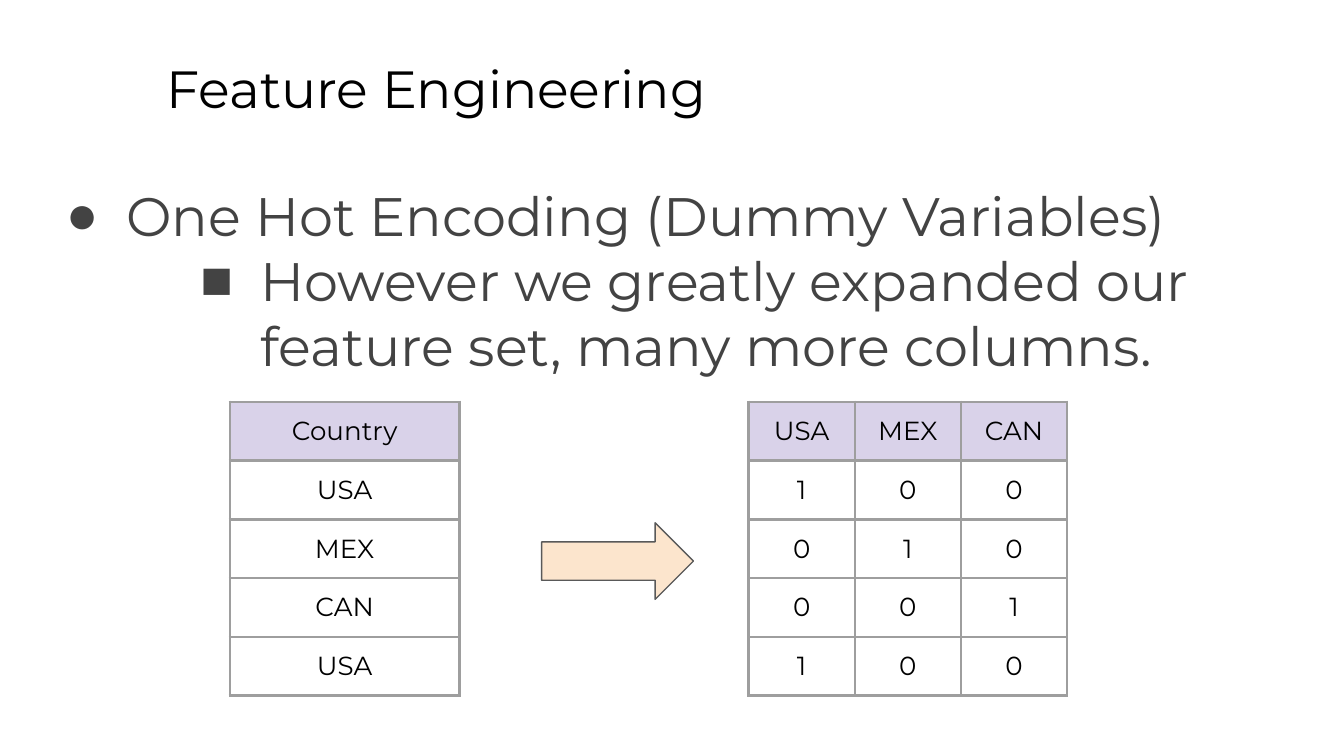
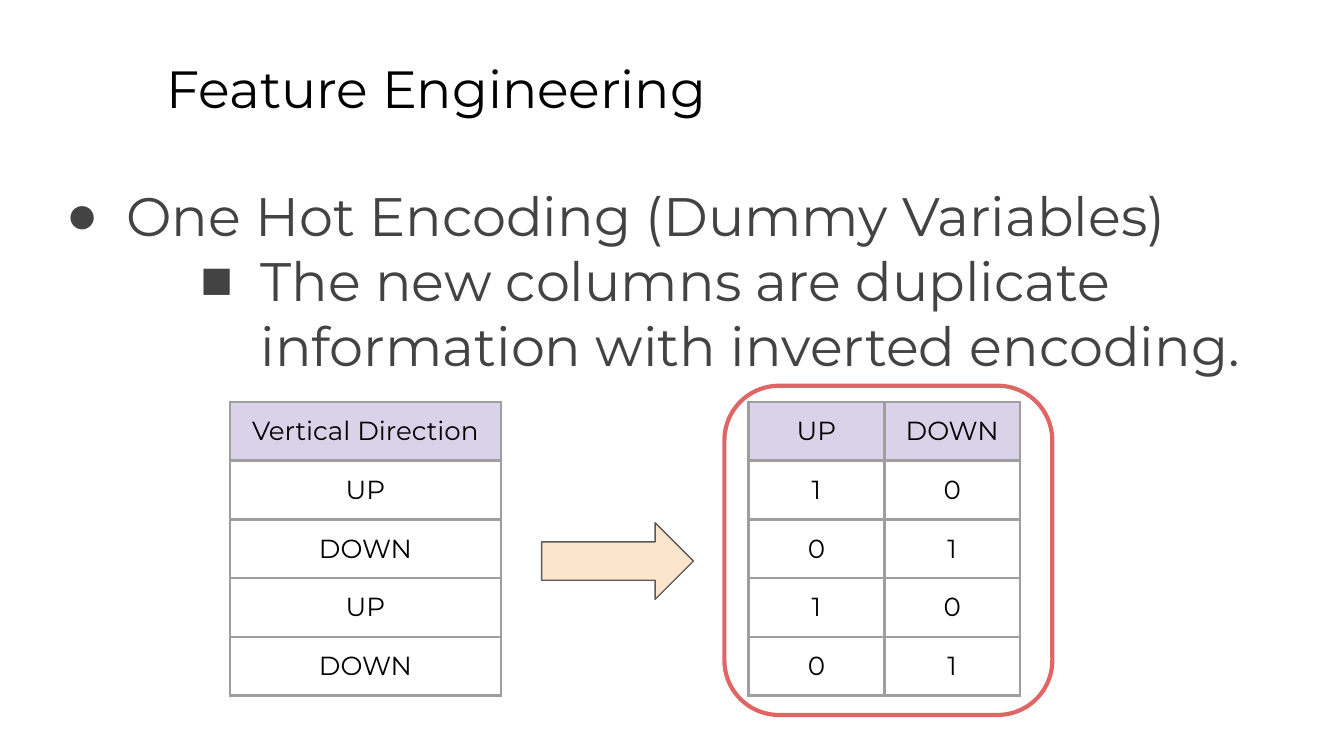
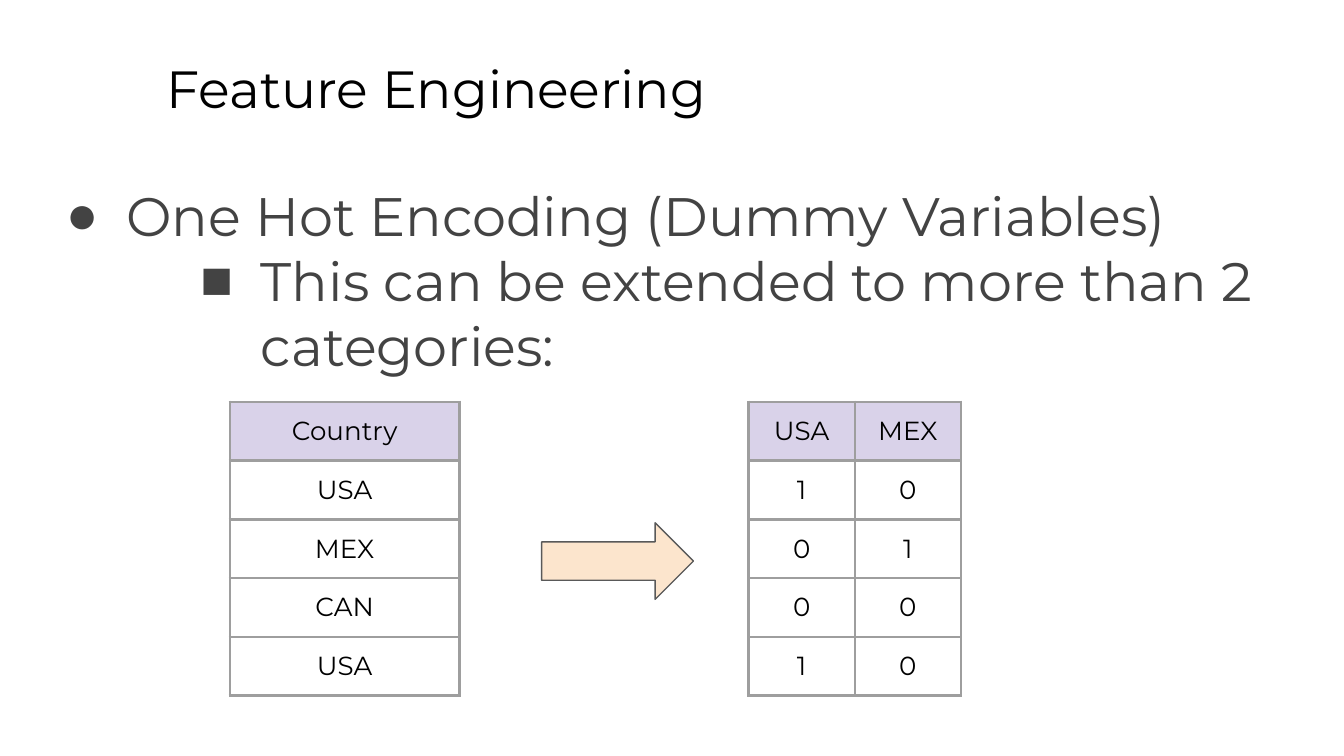
from dataclasses import dataclass

from lxml import etree
from pptx import Presentation
from pptx.dml.color import RGBColor
from pptx.enum.shapes import MSO_SHAPE
from pptx.enum.text import MSO_ANCHOR, MSO_AUTO_SIZE, PP_ALIGN
from pptx.oxml.ns import qn
from pptx.util import Inches, Pt

LEFT, CENTER = PP_ALIGN.LEFT, PP_ALIGN.CENTER
TOP, NO_FIT = MSO_ANCHOR.TOP, MSO_AUTO_SIZE.NONE
ARROW, ROUNDED = MSO_SHAPE.RIGHT_ARROW, MSO_SHAPE.ROUNDED_RECTANGLE


@dataclass(frozen=True)
class Theme:
    """Colours, font and sizes shared by all slides."""
    font: str = "Montserrat"
    ink: str = "000000"
    body: str = "434343"
    header: str = "D9D2E9"
    border: str = "9E9E9E"
    arrow: str = "FCE5CD"
    arrow_line: str = "595959"
    highlight: str = "E06666"
    title_size: float = 28
    body_size: float = 29
    cell_size: float = 14
    border_width: float = 1.5
    arrow_width: float = 0.75
    highlight_width: float = 2.25


THEME = Theme()

# Boxes are left, top, width, height in inches
TITLE_BOX = (1.14, 0.32, 8.52, 0.63)
BODY_BOX = (0.34, 1.26, 9.5, 3.74)
DIAGRAM_BOX = (1.71, 2.99, 6.23, 2.1)
INSET = 0.1

# List level, bullet and left indent for a point and its detail
BULLETS = ((0, "●", 0.5), (2, "■", 1.5))
HANGING = -0.45


def rgb(value):
    """Turn a hex string into a colour."""
    return RGBColor.from_string(value)


def set_insets(obj):
    """Give a text frame or table cell the common margins."""
    obj.margin_left = obj.margin_right = Inches(INSET)
    obj.margin_top = obj.margin_bottom = Inches(INSET)


def add_run(p, text, size, color):
    """Add one formatted run to a paragraph."""
    r = p.add_run()
    r.text = text
    r.font.name = THEME.font
    r.font.size = Pt(size)
    r.font.color.rgb = rgb(color)


def place_text(sp, box):
    """Move a placeholder to its box and return its text frame."""
    sp.left, sp.top, sp.width, sp.height = map(Inches, box)
    tf = sp.text_frame
    tf.word_wrap = True
    tf.auto_size = NO_FIT
    tf.vertical_anchor = TOP
    set_insets(tf)
    return tf


def set_bullet(p, char, indent):
    """Give a paragraph its bullet and hanging indent."""
    pPr = p._p.get_or_add_pPr()
    pPr.set("marL", str(Inches(indent)))
    pPr.set("indent", str(Inches(HANGING)))
    color = etree.SubElement(pPr, qn("a:buClr"))
    etree.SubElement(color, qn("a:srgbClr"), val=THEME.body)
    etree.SubElement(pPr, qn("a:buChar"), char=char)


def add_title(s, box, text):
    """Fill the title placeholder."""
    p = place_text(s.shapes.title, box).paragraphs[0]
    p.alignment = LEFT
    add_run(p, text, THEME.title_size, THEME.ink)


def add_points(s, box, texts):
    """Fill the body placeholder with a point and its detail."""
    tf = place_text(s.placeholders[1], box)
    for i, (text, (level, char, indent)) in enumerate(zip(texts, BULLETS)):
        p = tf.add_paragraph() if i else tf.paragraphs[0]
        p.level = level
        p.alignment = LEFT
        p.space_before = p.space_after = Pt(0)
        set_bullet(p, char, indent)
        add_run(p, text, THEME.body_size, THEME.body)


def set_borders(cell):
    """Draw a line on all four sides of a cell."""
    tcPr = cell._tc.get_or_add_tcPr()
    for side in ("lnL", "lnR", "lnT", "lnB"):
        ln = etree.SubElement(tcPr, qn(f"a:{side}"), w=str(Pt(THEME.border_width)))
        fill = etree.SubElement(ln, qn("a:solidFill"))
        etree.SubElement(fill, qn("a:srgbClr"), val=THEME.border)


def add_grid(s, box, rows):
    """Add a table with equal columns and a tinted header row."""
    x, y, w, h = map(Inches, box)
    table = s.shapes.add_table(len(rows), len(rows[0]), x, y, w, h).table
    table.horz_banding = table.first_row = False
    for i, row in enumerate(rows):
        for j, text in enumerate(row):
            cell = table.cell(i, j)
            set_insets(cell)
            set_borders(cell)
            if i == 0:
                cell.fill.solid()
                cell.fill.fore_color.rgb = rgb(THEME.header)
            else:
                cell.fill.background()
            p = cell.text_frame.paragraphs[0]
            p.alignment = CENTER
            add_run(p, str(text), THEME.cell_size, THEME.ink)


def add_outlined(s, kind, box, line, width, fill=None):
    """Add a preset shape with an outline and an optional fill."""
    sp = s.shapes.add_shape(kind, *map(Inches, box))
    sp.shadow.inherit = False
    if fill:
        sp.fill.solid()
        sp.fill.fore_color.rgb = rgb(fill)
    else:
        sp.fill.background()
    sp.line.color.rgb = rgb(line)
    sp.line.width = Pt(width)


def add_encoding(s, box, heading, values, categories, widths, highlight=False):
    """Show a column of values, an arrow and its one hot encoding."""
    x, y, _, h = box
    source_width, column_width = widths
    target_x = x + 3.86
    source = [[heading]] + [[value] for value in values]
    target = [categories] + [[int(v == c) for c in categories] for v in values]
    add_grid(s, (x, y, source_width, h), source)
    add_outlined(s, ARROW, (x + 2.32, y + 0.9, 1.13, 0.57),
                 THEME.arrow_line, THEME.arrow_width, THEME.arrow)
    add_grid(s, (target_x, y, column_width * len(categories), h), target)
    if highlight:
        add_outlined(s, ROUNDED, (target_x - 0.18, y - 0.12, 2.44, 2.45),
                     THEME.highlight, THEME.highlight_width)


def add_encoding_slide(prs, detail, **encoding):
    """Add a slide with a title, two list levels and an encoding diagram."""
    s = prs.slides.add_slide(prs.slide_layouts[1])
    add_title(s, TITLE_BOX, "Feature Engineering")
    add_points(s, BODY_BOX, ("One Hot Encoding (Dummy Variables)", detail))
    add_encoding(s, DIAGRAM_BOX, **encoding)


def main():
    """Build the deck."""
    prs = Presentation()
    prs.slide_width = Inches(10)
    prs.slide_height = prs.slide_width * 9 // 16
    country = {"heading": "Country", "values": ["USA", "MEX", "CAN", "USA"],
               "widths": (1.71, 0.79)}
    direction = {"heading": "Vertical Direction",
                 "values": ["UP", "DOWN", "UP", "DOWN"], "widths": (2.02, 1.01)}
    add_encoding_slide(
        prs, "However we greatly expanded our feature set, many more columns.",
        categories=["USA", "MEX", "CAN"], **country)
    add_encoding_slide(
        prs, "The new columns are duplicate information with inverted encoding.",
        categories=["UP", "DOWN"], highlight=True, **direction)
    add_encoding_slide(
        prs, "This can be extended to more than 2 categories:",
        categories=["USA", "MEX"], **country)
    prs.save("out.pptx")


main()
